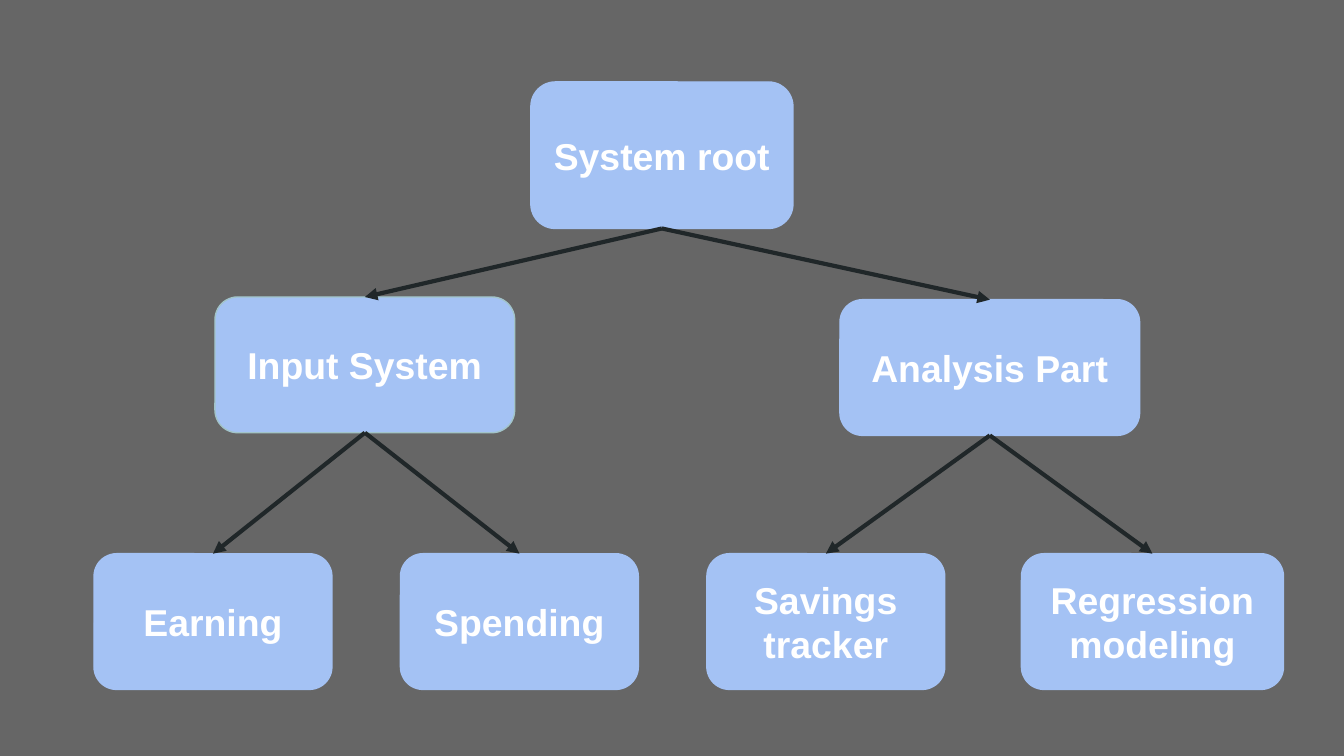
from lxml.etree import SubElement
from pptx import Presentation
from pptx.dml.color import RGBColor
from pptx.enum.shapes import MSO_CONNECTOR, MSO_SHAPE
from pptx.enum.text import MSO_ANCHOR, PP_ALIGN
from pptx.oxml.ns import qn
from pptx.util import Inches, Pt

GRAY = RGBColor(0x66, 0x66, 0x66)
BLUE = RGBColor(0xA4, 0xC2, 0xF4)
TEAL = RGBColor(0xA2, 0xC4, 0xC9)
INK = RGBColor(0x20, 0x27, 0x29)
WHITE = RGBColor(0xFF, 0xFF, 0xFF)

TOP_SITE, BOTTOM_SITE = 0, 2  # connection sites of a rounded rectangle

# Sizes of the tree levels
BRANCH_W, LEAF_W, WIDE_W = 2.23, 1.77, 1.95
ROOT_H, NODE_H = 1.09, 1.01
LEAF_TOP, LEAF_STEP = 3.51, 2.28

# Label: left, top, width, height within the tree's box
NODES = {
    "System root": (3.25, 0, WIDE_W, ROOT_H),
    "Input System": (0.9, 1.6, BRANCH_W, NODE_H),
    "Analysis Part": (5.55, 1.62, BRANCH_W, NODE_H),
    "Earning": (0, LEAF_TOP, LEAF_W, NODE_H),
    "Spending": (LEAF_STEP, LEAF_TOP, LEAF_W, NODE_H),
    "Savings tracker": (2 * LEAF_STEP, LEAF_TOP, LEAF_W, NODE_H),
    "Regression modeling": (6.9, LEAF_TOP, WIDE_W, NODE_H),
}
CHILDREN = {
    "System root": ("Input System", "Analysis Part"),
    "Input System": ("Earning", "Spending"),
    "Analysis Part": ("Savings tracker", "Regression modeling"),
}


def add_node(slide, label, left, top, width, height):
    """Add one rounded box with a centred label."""
    node = slide.shapes.add_shape(
        MSO_SHAPE.ROUNDED_RECTANGLE,
        Inches(left), Inches(top), Inches(width), Inches(height))
    node.shadow.inherit = False
    node.fill.solid()
    node.fill.fore_color.rgb = BLUE
    node.line.color.rgb = TEAL if label == "Input System" else BLUE
    node.line.width = Pt(0.75)

    frame = node.text_frame
    frame.word_wrap = True
    frame.vertical_anchor = MSO_ANCHOR.MIDDLE
    frame.margin_left = frame.margin_right = Inches(0.1)
    frame.margin_top = frame.margin_bottom = Inches(0.1)
    frame.text = label
    paragraph = frame.paragraphs[0]
    paragraph.alignment = PP_ALIGN.CENTER
    font = paragraph.runs[0].font
    font.name, font.size, font.bold = "Arial", Pt(20), True
    font.color.rgb = WHITE
    return node


def add_arrow(slide, parent, child):
    """Join the bottom of a parent to the top of its child."""
    arrow = slide.shapes.add_connector(MSO_CONNECTOR.STRAIGHT, 0, 0, 0, 0)
    arrow.begin_connect(parent, BOTTOM_SITE)
    arrow.end_connect(child, TOP_SITE)
    arrow.line.color.rgb = INK
    arrow.line.width = Pt(2.25)
    properties = arrow.element.spPr
    SubElement(properties.find(qn("a:ln")), qn("a:tailEnd"), type="triangle")
    SubElement(properties, qn("a:effectLst"))


def add_tree(slide, left, top):
    """Draw the system tree from the given top left corner."""
    # Boxes
    nodes = {
        label: add_node(slide, label, left + x, top + y, width, height)
        for label, (x, y, width, height) in NODES.items()
    }
    # Arrows
    for parent, children in CHILDREN.items():
        for child in children:
            add_arrow(slide, nodes[parent], nodes[child])


def main():
    presentation = Presentation()
    # Widescreen page, 16:9
    presentation.slide_width = Inches(10)
    presentation.slide_height = Inches(10 * 9 / 16)
    slide = presentation.slides.add_slide(presentation.slide_layouts[6])
    slide.background.fill.solid()
    slide.background.fill.fore_color.rgb = GRAY
    add_tree(slide, left=0.7, top=0.61)
    presentation.save("out.pptx")


if __name__ == "__main__":
    main()
